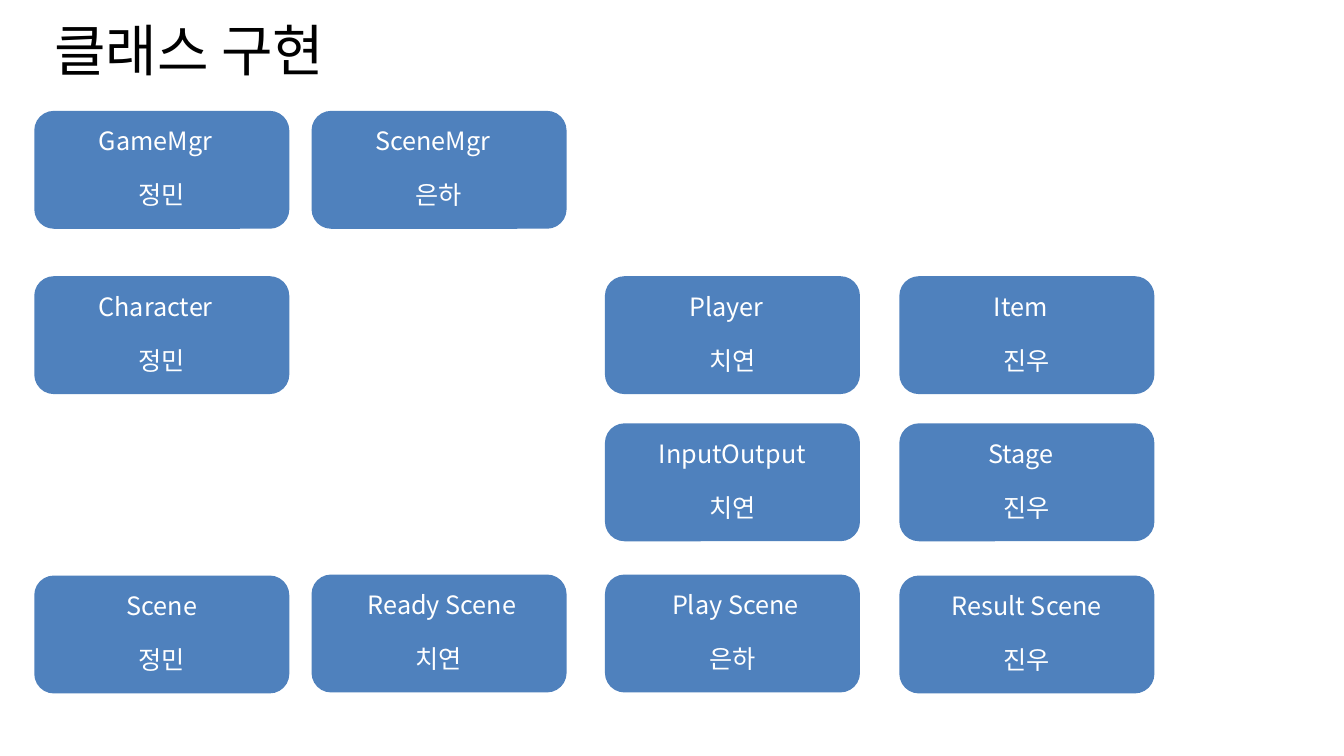
from lxml import etree
from pptx import Presentation
from pptx.dml.color import RGBColor
from pptx.enum.shapes import MSO_SHAPE
from pptx.enum.text import MSO_ANCHOR, MSO_AUTO_SIZE, PP_ALIGN
from pptx.oxml.ns import qn
from pptx.util import Inches, Pt

ROUND = MSO_SHAPE.ROUNDED_RECTANGLE
TOP, MIDDLE = MSO_ANCHOR.TOP, MSO_ANCHOR.MIDDLE
LEFT, CENTER = PP_ALIGN.LEFT, PP_ALIGN.CENTER
FONT = "Noto Sans CJK KR"
COLORS = {"box": "4F81BD", "light": "FFFFFF", "dark": "000000"}


def write(par, text, size=18, color="light", align=CENTER, before=0, indent=0):
    par.alignment = align
    par.space_before = Pt(before)
    props = par._p.get_or_add_pPr()
    props.set("marL", str(Inches(indent)))
    props.set("indent", "0")
    run = par.add_run()
    run.text = text
    run.font.size = Pt(size)
    run.font.name = FONT
    run.font.color.rgb = RGBColor.from_string(COLORS[color])
    etree.SubElement(run._r.get_or_add_rPr(), qn("a:ea")).set("typeface", FONT)


deck = Presentation()
deck.slide_width, deck.slide_height = Inches(13.33), Inches(7.5)
slide = deck.slides.add_slide(deck.slide_layouts[5])

# Title
title = slide.shapes.title
title.left, title.top = Inches(0.44), Inches(0.17)
title.width, title.height = Inches(5.29), Inches(0.77)
frame = title.text_frame
frame.word_wrap = True
frame.auto_size = MSO_AUTO_SIZE.NONE
frame.vertical_anchor = TOP
frame.margin_top = Inches(0.1)
head = frame.paragraphs[0]
write(head, "클래스 구현", size=40, color="dark", align=LEFT)
head.line_spacing = 0.83

# Class boxes: column, top, class, owner, sideways offset of the class name
COLS = [0.34, 3.09, 6, 8.92]
SHIFT = 0.12
boxes = [
    (0, 1.1, "GameMgr", "정민", -SHIFT),
    (1, 1.1, "SceneMgr", "은하", -SHIFT),
    (0, 2.74, "Character", "정민", -SHIFT),
    (2, 2.74, "Player", "치연", -SHIFT),
    (3, 2.74, "Item", "진우", -SHIFT),
    (2, 4.2, "InputOutput", "치연", 0),
    (3, 4.2, "Stage", "진우", -SHIFT),
    (0, 5.71, "Scene", "정민", 0),
    (1, 5.7, "Ready Scene", "치연", SHIFT / 2),
    (2, 5.7, "Play Scene", "은하", SHIFT / 2),
    (3, 5.71, "Result Scene", "진우", 0),
]
for col, top, name, owner, shift in boxes:
    box = slide.shapes.add_shape(
        ROUND, Inches(COLS[col]), Inches(top), Inches(2.53), Inches(1.17))
    box.shadow.inherit = False
    box.fill.solid()
    box.fill.fore_color.rgb = RGBColor.from_string(COLORS["box"])
    box.line.fill.background()
    frame = box.text_frame
    frame.word_wrap = True
    frame.vertical_anchor = MIDDLE
    frame.margin_right = Inches(0.1 + SHIFT)
    frame.margin_bottom = Inches(0.09)
    write(frame.paragraphs[0], name, indent=SHIFT + shift)
    write(frame.add_paragraph(), owner, before=17, indent=SHIFT)

deck.save("out.pptx")
